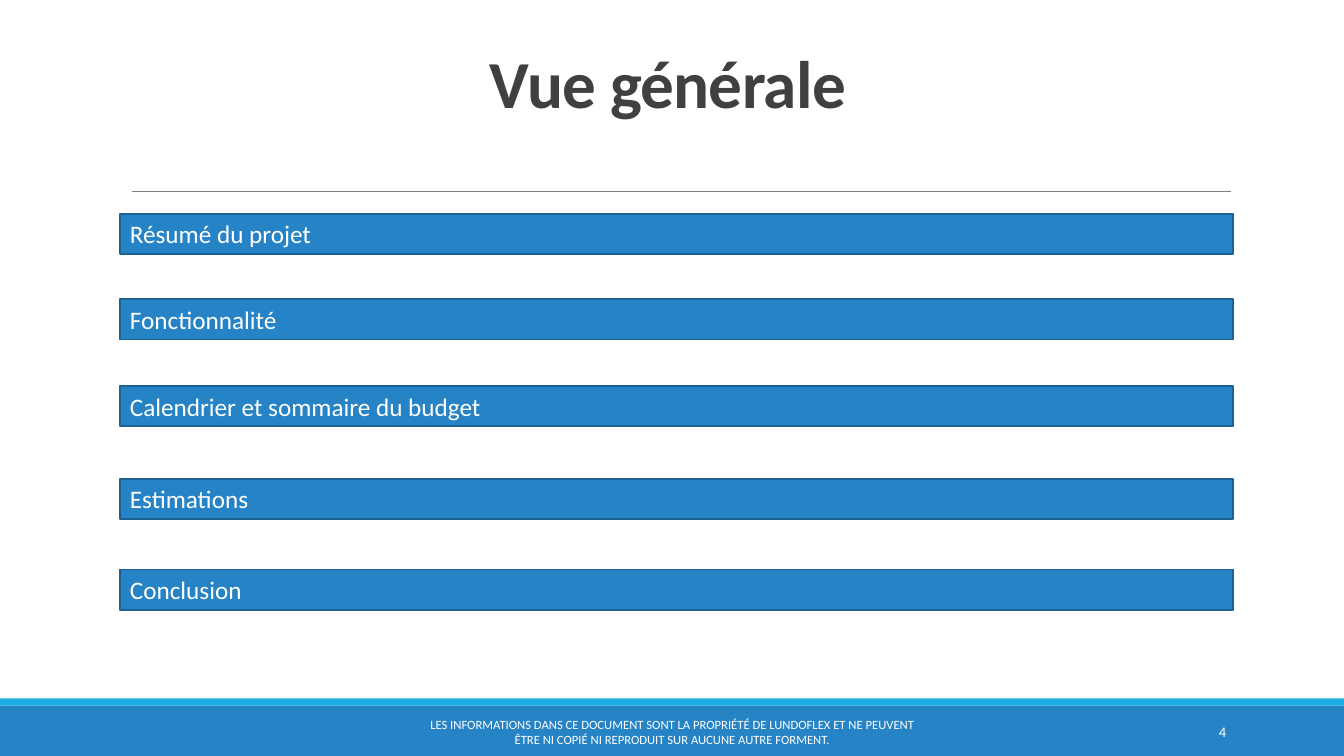
from pptx import Presentation
from pptx.dml.color import RGBColor
from pptx.enum.shapes import MSO_CONNECTOR as Connector, MSO_SHAPE as Preset
from pptx.enum.text import MSO_ANCHOR as Anchor, MSO_AUTO_SIZE as AutoSize, PP_ALIGN as Align
from pptx.oxml.ns import qn
from pptx.util import Inches, Pt
from lxml.etree import SubElement

BLUE, CYAN, NAVY = "2683C6", "1CADE4", "1C6192"
WHITE, GREY, DARK = "FFFFFF", "808080", "404040"


def color(value):
    """Turn a hex string into a colour."""
    return RGBColor.from_string(value)


class Builder:
    """Holds the text style and the current page."""

    font = "Calibri"

    def __init__(self, page):
        """Start drawing on the given page."""
        self.page = page

    def label(self, shape, text, size, fill=WHITE, align=Align.LEFT,
              anchor=Anchor.MIDDLE, bold=False):
        """Put one styled paragraph in a shape and return it."""
        frame = shape.text_frame
        frame.text = text
        frame.word_wrap = True
        frame.vertical_anchor = anchor
        para = frame.paragraphs[0]
        para.alignment = align
        font = para.runs[0].font
        font.name, font.size, font.bold = self.font, Pt(size), bold
        font.color.rgb = color(fill)
        return para

    def rect(self, left, top, width, height, fill, outline=None):
        """Draw a filled rectangle, with an outline if one is given."""
        box = self.page.shapes.add_shape(
            Preset.RECTANGLE, Inches(left), Inches(top), Inches(width), Inches(height))
        box.shadow.inherit = False
        box.fill.solid()
        box.fill.fore_color.rgb = color(fill)
        if outline:
            box.line.color.rgb = color(outline)
            box.line.width = Pt(1.25)
        else:
            box.line.fill.background()
        return box

    def rule(self, left, right, top):
        """Draw a thin horizontal line."""
        line = self.page.shapes.add_connector(
            Connector.STRAIGHT, Inches(left), Inches(top), Inches(right), Inches(top))
        line.line.color.rgb = color(GREY)
        line.line.width = Pt(0.5)
        SubElement(line._element.spPr, qn("a:effectLst"))

    def text(self, left, top, width, height, text, size, **style):
        """Add a text box and return its paragraph."""
        box = self.page.shapes.add_textbox(
            Inches(left), Inches(top), Inches(width), Inches(height))
        return self.label(box, text, size, **style)

    def agenda_bar(self, top, topic):
        """Draw one topic bar of the agenda."""
        bar = self.rect(1.19, top, 11.04, 0.4, BLUE, NAVY)
        self.label(bar, topic, 18, anchor=Anchor.TOP)
        bar.text_frame.auto_size = AutoSize.SHAPE_TO_FIT_TEXT


deck = Presentation()
deck.slide_width, deck.slide_height = Inches(13.33), Inches(7.5)
draw = Builder(deck.slides.add_slide(deck.slide_layouts[6]))

draw.rect(0, 7, 13.33, 0.5, BLUE)
draw.rect(0, 6.93, 13.33, 0.07, CYAN)
draw.rule(1.31, 12.21, 1.9)

title = draw.text(1.7, 0.39, 9.85, 0.87, "Vue générale", 48, fill=DARK,
                  align=Align.CENTER, anchor=Anchor.BOTTOM, bold=True)
title.line_spacing = 0.85
title.runs[0]._r.get_or_add_rPr().set("spc", "-50")

AGENDA = [
    (2.12, "Résumé du projet"),
    (2.97, "Fonctionnalité"),
    (3.83, "Calendrier et sommaire du budget"),
    (4.75, "Estimations"),
    (5.65, "Conclusion"),
]
for top, topic in AGENDA:
    draw.agenda_bar(top, topic)

draw.text(4.03, 7.06, 5.27, 0.4,
          "LES INFORMATIONS DANS CE DOCUMENT SONT LA PROPRIÉTÉ DE LUNDOFLEX "
          "ET NE PEUVENT ÊTRE NI COPIÉ NI REPRODUIT SUR AUCUNE AUTRE FORMENT.",
          9, align=Align.CENTER)
draw.text(10.83, 7.06, 1.43, 0.4, "4", 10.5, align=Align.RIGHT)

deck.save("out.pptx")
